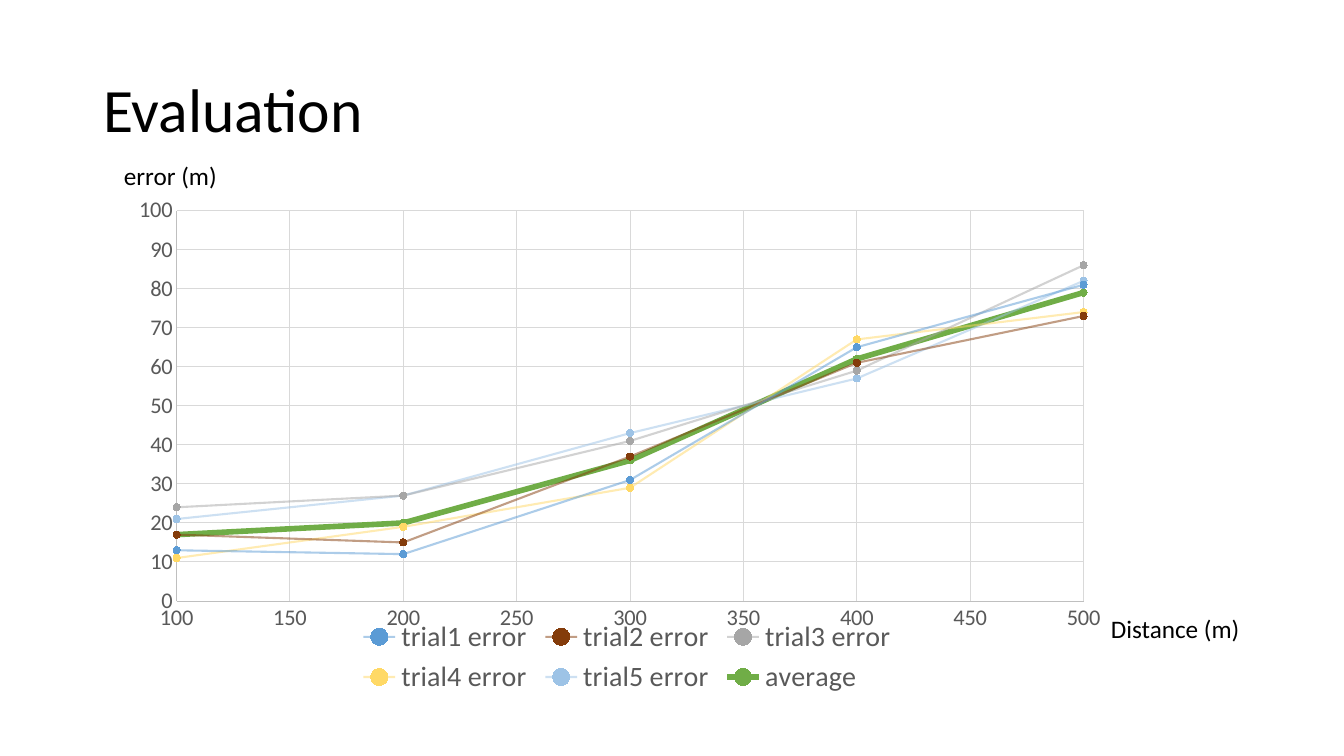
from lxml.etree import SubElement
from pptx import Presentation
from pptx.chart.data import XyChartData
from pptx.dml.color import RGBColor
from pptx.enum.chart import XL_CHART_TYPE, XL_LEGEND_POSITION, XL_MARKER_STYLE, XL_TICK_MARK
from pptx.enum.text import MSO_ANCHOR, MSO_AUTO_SIZE, PP_ALIGN
from pptx.oxml import parse_xml
from pptx.oxml.ns import nsdecls, qn
from pptx.util import Pt

PX = 914400 / 100.8
FONT = "Calibri"
SLIDE = (1344, 756)
TITLE = ("Evaluation", (93, 40, 1159, 146))
CHART_BOX = (114, 197, 1026, 503)
PLOT = {"x": 0.061, "y": 0.025, "w": 0.884, "h": 0.778}
AXIS_TITLES = [
    ("Distance (m)", (1101, 608, 150, 40)),
    ("error (m)", (114, 155, 114, 40)),
]
DISTANCES = [100, 200, 300, 400, 500]
SERIES = [
    ("trial1 error", [13, 12, 31, 65, 81], "5B9BD5", "4472C4", 1.5, 50),
    ("trial2 error", [17, 15, 37, 61, 73], "843C0B", "ED7D31", 1.5, 50),
    ("trial3 error", [24, 27, 41, 59, 86], "A6A6A6", "A5A5A5", 1.5, 50),
    ("trial4 error", [11, 19, 29, 67, 74], "FFD966", "FFC000", 1.5, 50),
    ("trial5 error", [21, 27, 43, 57, 82], "9DC3E6", "5B9BD5", 1.5, 50),
    ("average", [17, 20, 36, 62, 79], "70AD47", "70AD47", 4, 100),
]


def rgb(color):
    """Turn a hex string into a colour."""
    return RGBColor.from_string(color)


def emu(box):
    """Scale px lengths to EMU."""
    return [round(v * PX) for v in box]


def set_font(font, size, color="000000"):
    """Format a font."""
    font.name, font.size, font.bold = FONT, Pt(size), False
    font.color.rgb = rgb(color)


def set_line(line, color, width, opacity=100):
    """Format a line, with its opacity in percent."""
    line.width = Pt(width)
    line.color.rgb = rgb(color)
    if opacity < 100:
        clr = line.fill._xPr.find(".//" + qn("a:srgbClr"))
        SubElement(clr, qn("a:alpha")).set("val", str(opacity * 1000))


def write(tf, text, size=18, spacing=None, anchor=MSO_ANCHOR.TOP, wrap=False, fit=MSO_AUTO_SIZE.SHAPE_TO_FIT_TEXT):
    """Write one left-aligned paragraph."""
    tf.word_wrap, tf.auto_size, tf.vertical_anchor = wrap, fit, anchor
    p = tf.paragraphs[0]
    p.alignment, p.line_spacing = PP_ALIGN.LEFT, spacing
    r = p.add_run()
    r.text = text
    set_font(r.font, size)


def add_error_chart(s):
    """Add the scatter chart of error against distance."""
    data = XyChartData()
    for name, errors, *_ in SERIES:
        series = data.add_series(name)
        for point in zip(DISTANCES, errors):
            series.add_data_point(*point)
    chart = s.shapes.add_chart(XL_CHART_TYPE.XY_SCATTER_LINES, *emu(CHART_BOX), data).chart
    set_font(chart.font, 10)
    chart.has_title = False
    chart.has_legend = True
    chart.legend.position = XL_LEGEND_POSITION.BOTTOM
    chart.legend.include_in_layout = False
    set_font(chart.legend.font, 20, "595959")

    for axis in (chart.category_axis, chart.value_axis):
        axis.major_tick_mark = axis.minor_tick_mark = XL_TICK_MARK.NONE
        axis.has_major_gridlines = True
        set_line(axis.major_gridlines.format.line, "D9D9D9", 0.75)
        set_line(axis.format.line, "BFBFBF", 0.75)
        set_font(axis.tick_labels.font, 16, "595959")
    chart.category_axis.minimum_scale = DISTANCES[0]
    chart.category_axis.maximum_scale = DISTANCES[-1]

    plot = chart.plots[0]
    plot.vary_by_categories = False
    for series, (_, _, color, dot, width, opacity) in zip(plot.series, SERIES):
        series.smooth = False
        set_line(series.format.line, color, width, opacity)
        marker = series.marker
        marker.style, marker.size = XL_MARKER_STYLE.CIRCLE, 5
        marker.format.fill.solid()
        marker.format.fill.fore_color.rgb = rgb(dot)
        set_line(marker.format.line, dot, 0.75)

    area = chart._chartSpace.find(".//" + qn("c:plotArea"))
    for old in area.findall(qn("c:layout")):
        area.remove(old)
    modes = '<c:layoutTarget val="inner"/><c:xMode val="edge"/><c:yMode val="edge"/>'
    sides = "".join(f'<c:{k} val="{v}"/>' for k, v in PLOT.items())
    area.insert(0, parse_xml(
        f'<c:layout {nsdecls("c")}><c:manualLayout>{modes}{sides}</c:manualLayout></c:layout>'))


def main():
    """Build the evaluation slide."""
    prs = Presentation()
    prs.slide_width, prs.slide_height = emu(SLIDE)
    s = prs.slides.add_slide(prs.slide_layouts[5])
    text, box = TITLE
    title = s.shapes.title
    title.left, title.top, title.width, title.height = emu(box)
    write(title.text_frame, text, size=44, spacing=0.9, anchor=MSO_ANCHOR.MIDDLE,
          wrap=True, fit=MSO_AUTO_SIZE.NONE)
    add_error_chart(s)
    for text, box in AXIS_TITLES:
        write(s.shapes.add_textbox(*emu(box)).text_frame, text)
    prs.save("out.pptx")


if __name__ == "__main__":
    main()
